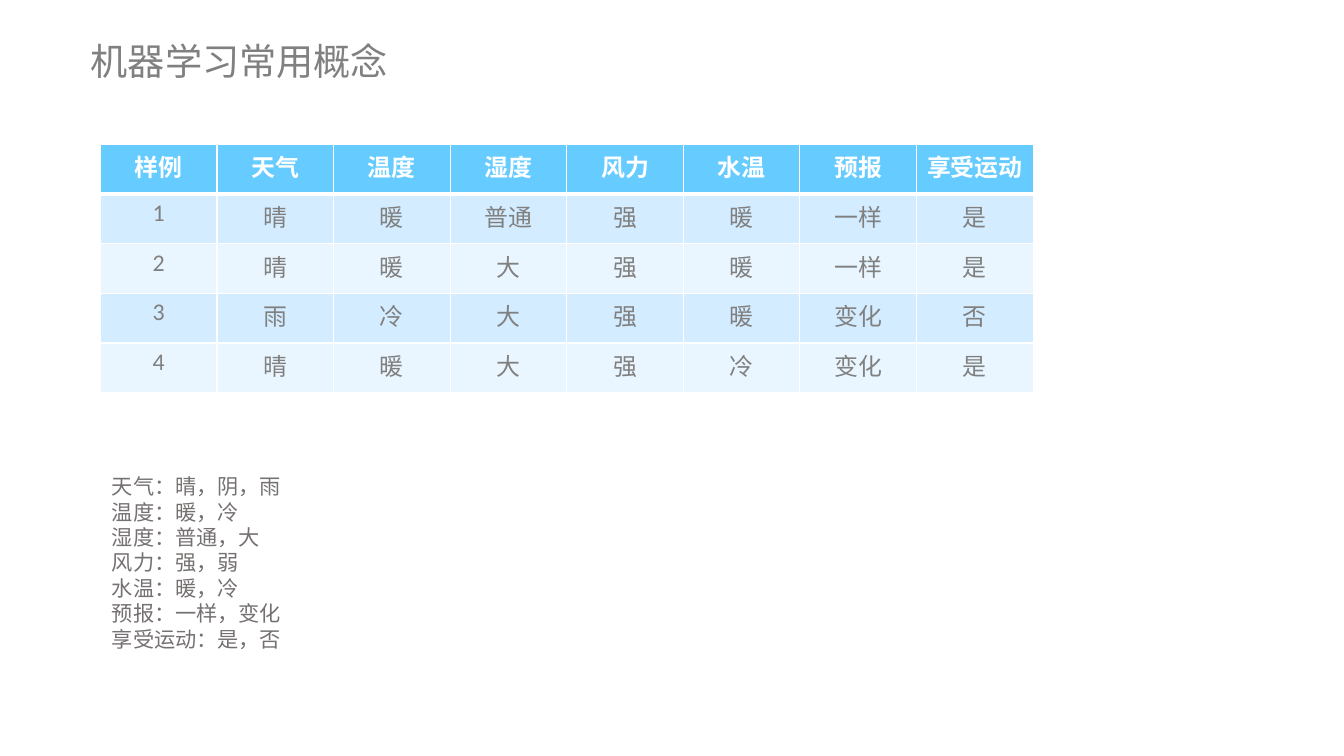
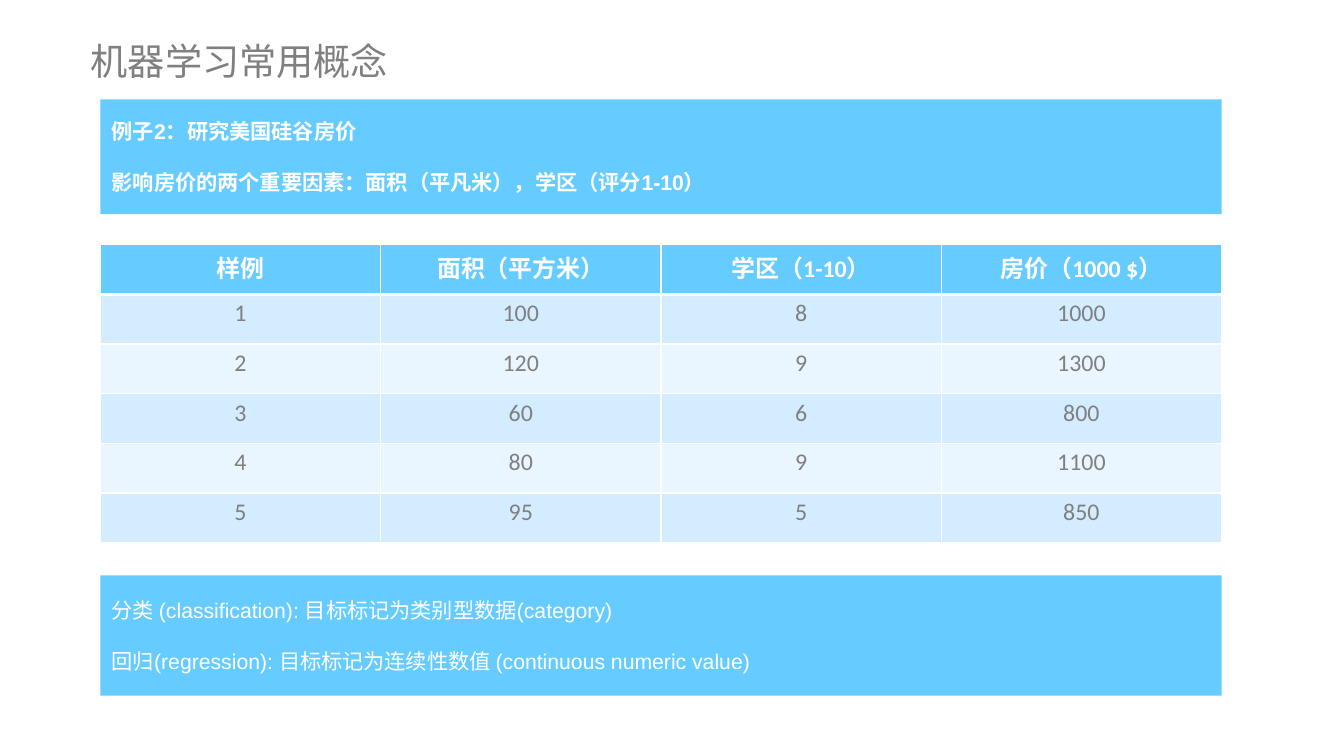
from dataclasses import dataclass

from lxml.etree import SubElement
from pptx import Presentation
from pptx.dml.color import RGBColor as RGB
from pptx.enum.shapes import MSO_SHAPE as Shape
from pptx.enum.text import MSO_ANCHOR as Anchor, MSO_AUTO_SIZE as Auto, PP_ALIGN as Align
from pptx.oxml.ns import qn
from pptx.slide import Slide
from pptx.table import _Cell as Cell
from pptx.text.text import TextFrame as Frame, _Paragraph as Para
from pptx.util import Inches, Pt

WHITE = RGB(0xFF, 0xFF, 0xFF)
GREY = RGB(0x80, 0x80, 0x80)
NOTE = RGB(0x76, 0x71, 0x71)
SKY = RGB(0x66, 0xCC, 0xFF)
BANDS = RGB(0xD3, 0xEC, 0xFF), RGB(0xEA, 0xF6, 0xFF)

TITLE = "机器学习常用概念"
LEFT = 1.05
ROW = 0.52
WIDE = 11.73


@dataclass(frozen=True)
class Style:
    size: int
    color: RGB
    font: str = "Arial"
    bold: bool = False


@dataclass(frozen=True)
class Box:
    top: float
    width: float
    height: float
    lines: tuple[str, ...]
    style: Style
    gap: int = 0
    fill: RGB | None = None


@dataclass(frozen=True)
class Grid:
    top: float
    width: float
    rows: tuple[tuple[str, ...], ...]


HEAD = Style(18, WHITE, "Calibri", True)
BODY = Style(18, GREY, "Calibri")

SPORT = Grid(1.51, 9.76, (
    ("样例", "天气", "温度", "湿度", "风力", "水温", "预报", "享受运动"),
    ("1", "晴", "暖", "普通", "强", "暖", "一样", "是"),
    ("2", "晴", "暖", "大", "强", "暖", "一样", "是"),
    ("3", "雨", "冷", "大", "强", "暖", "变化", "否"),
    ("4", "晴", "暖", "大", "强", "冷", "变化", "是"),
))
VALUES = Box(4.74, 4.09, 2.29, (
    "天气：晴，阴，雨",
    "温度：暖，冷",
    "湿度：普通，大",
    "风力：强，弱",
    "水温：暖，冷",
    "预报：一样，变化",
    "享受运动：是，否",
), Style(16, NOTE))

HOUSE = Grid(2.56, WIDE, (
    ("样例", "面积（平方米）", "学区（1-10）", "房价（1000 $）"),
    ("1", "100", "8", "1000"),
    ("2", "120", "9", "1300"),
    ("3", "60", "6", "800"),
    ("4", "80", "9", "1100"),
    ("5", "95", "5", "850"),
))
CASE = Box(1.04, WIDE, 1.2, (
    "例子2：研究美国硅谷房价",
    "影响房价的两个重要因素：面积（平凡米），学区（评分1-10）",
), Style(16, WHITE, bold=True), 19, SKY)
TERMS = Box(6.02, WIDE, 1.26, (
    "分类 (classification): 目标标记为类别型数据(category)",
    "回归(regression): 目标标记为连续性数值 (continuous numeric value)",
), Style(16, WHITE), 19, SKY)


def write(para: Para, text: str, style: Style, align: Align) -> None:
    para.alignment = align
    run = para.add_run()
    run.text = text
    font = run.font
    font.name, font.size, font.bold = style.font, Pt(style.size), style.bold
    font.color.rgb = style.color


def inset(frame: Frame, side: float) -> None:
    frame.margin_left = frame.margin_right = Inches(side)
    frame.margin_top = frame.margin_bottom = 0
    frame.vertical_anchor = Anchor.MIDDLE
    frame.word_wrap = True


def add_title(slide: Slide) -> None:
    title = slide.shapes.title
    title.left, title.top = Inches(0.95), Inches(0.4)
    title.width, title.height = Inches(3.33), Inches(0.47)
    frame = title.text_frame
    inset(frame, 0)
    frame.auto_size = Auto.SHAPE_TO_FIT_TEXT
    write(frame.paragraphs[0], TITLE, Style(28, GREY), Align.LEFT)


def add_box(slide: Slide, box: Box) -> None:
    area = [Inches(n) for n in (LEFT, box.top, box.width, box.height)]
    if box.fill is None:
        shape = slide.shapes.add_textbox(*area)
    else:
        shape = slide.shapes.add_shape(Shape.RECTANGLE, *area)
        shape.shadow.inherit = False
        shape.fill.solid()
        shape.fill.fore_color.rgb = box.fill
        shape.line.fill.background()
    frame = shape.text_frame
    inset(frame, 0.12)
    for i, line in enumerate(box.lines):
        para = frame.add_paragraph() if i else frame.paragraphs[0]
        para.space_before = Pt(box.gap if i else 0)
        write(para, line, box.style, Align.JUSTIFY)


def add_rules(cell: Cell, top: int, base: int) -> None:
    """Draw white cell borders; top and base are widths in points."""
    props = cell._tc.get_or_add_tcPr()
    sides = ("L", 1), ("R", 1), ("T", top), ("B", base)
    for i, (side, width) in enumerate(sides):
        line = SubElement(props, qn(f"a:ln{side}"), w=str(Pt(width)))
        fill = SubElement(line, qn("a:solidFill"))
        SubElement(fill, qn("a:srgbClr"), val=str(WHITE))
        props.insert(i, line)


def add_grid(slide: Slide, grid: Grid) -> None:
    count = len(grid.rows)
    table = slide.shapes.add_table(
        count, len(grid.rows[0]), Inches(LEFT), Inches(grid.top),
        Inches(grid.width), Inches(ROW * count)).table
    for r, row in enumerate(grid.rows):
        for c, text in enumerate(row):
            cell = table.cell(r, c)
            cell.fill.solid()
            cell.fill.fore_color.rgb = BANDS[(r - 1) % 2] if r else SKY
            add_rules(cell, 3 if r == 1 else 1, 1 if r else 3)
            write(cell.text_frame.paragraphs[0], text,
                  BODY if r else HEAD, Align.CENTER)


def main() -> None:
    deck = Presentation()
    deck.slide_width, deck.slide_height = Inches(14.06), Inches(7.91)
    for grid, boxes in ((SPORT, (VALUES,)), (HOUSE, (CASE, TERMS))):
        slide = deck.slides.add_slide(deck.slide_layouts.get_by_name("Title Only"))
        add_title(slide)
        add_grid(slide, grid)
        for box in boxes:
            add_box(slide, box)
    deck.save("out.pptx")


if __name__ == "__main__":
    main()
